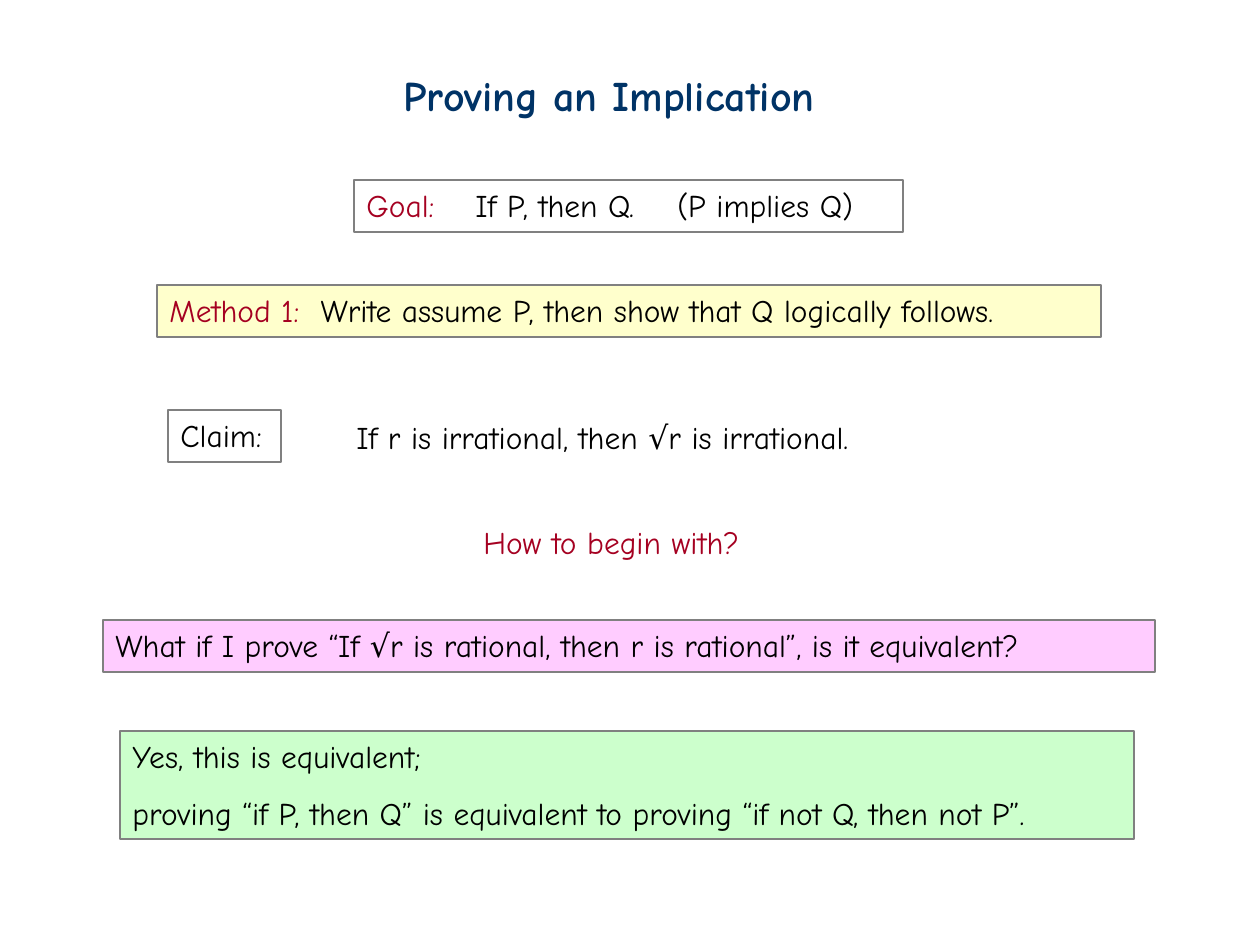
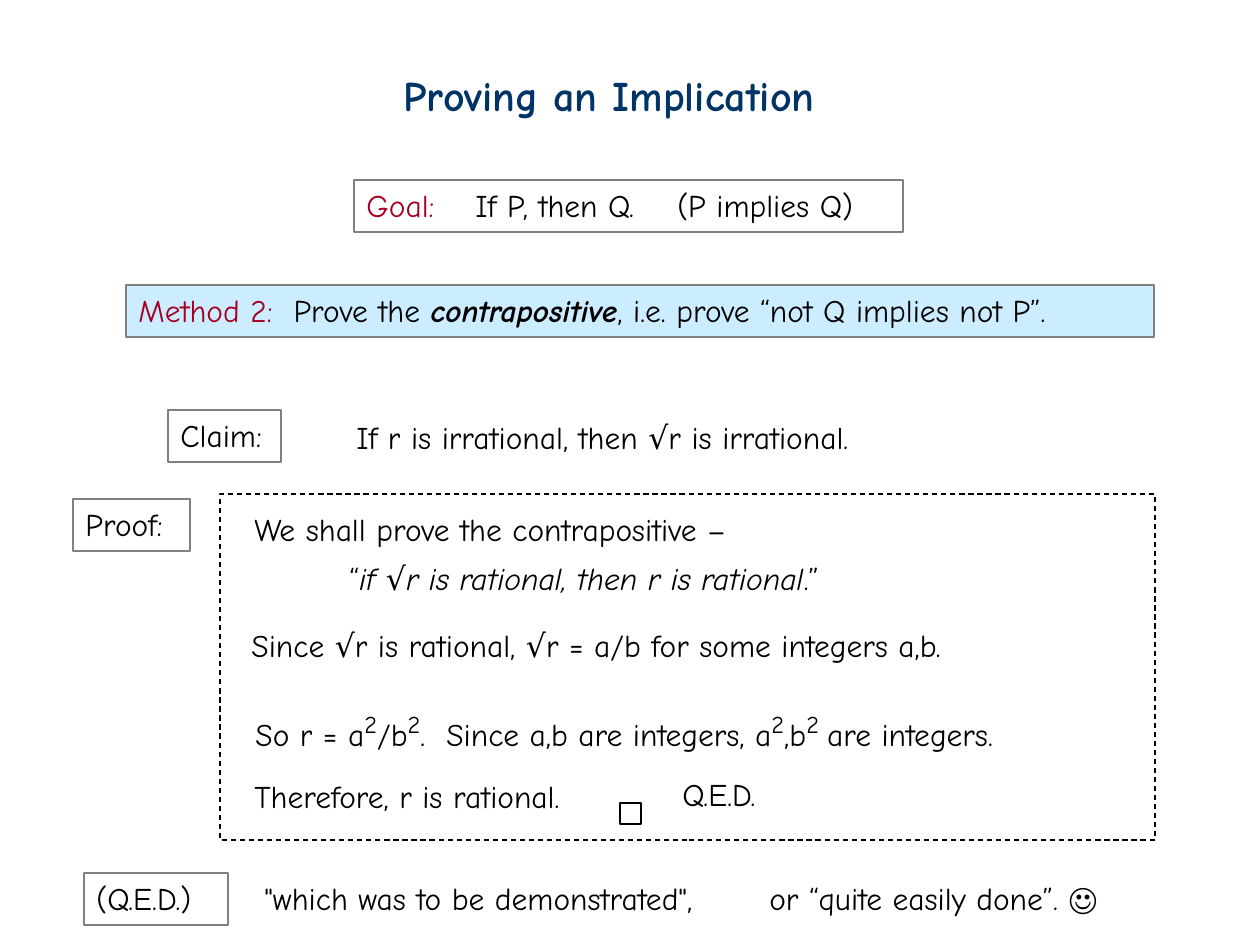
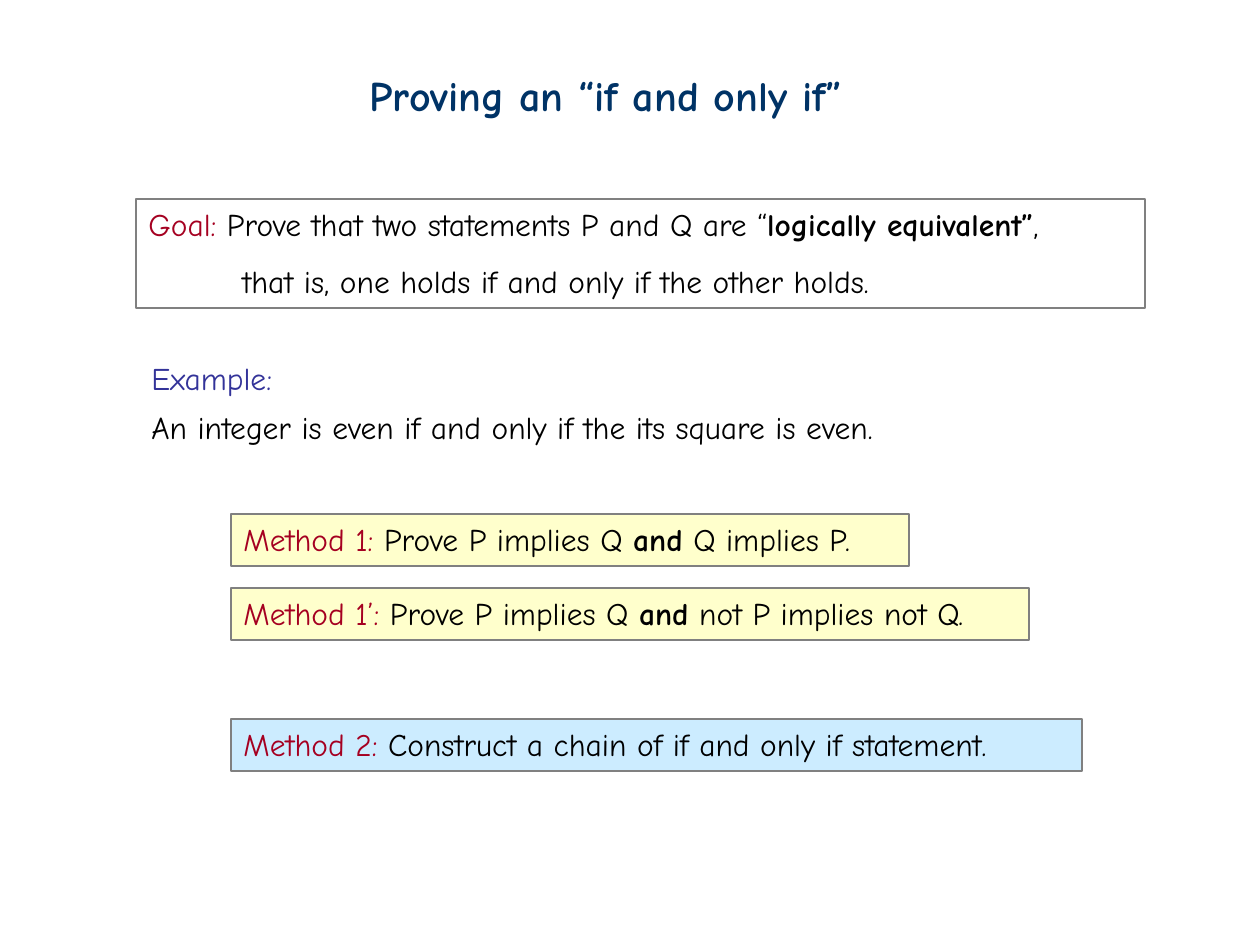
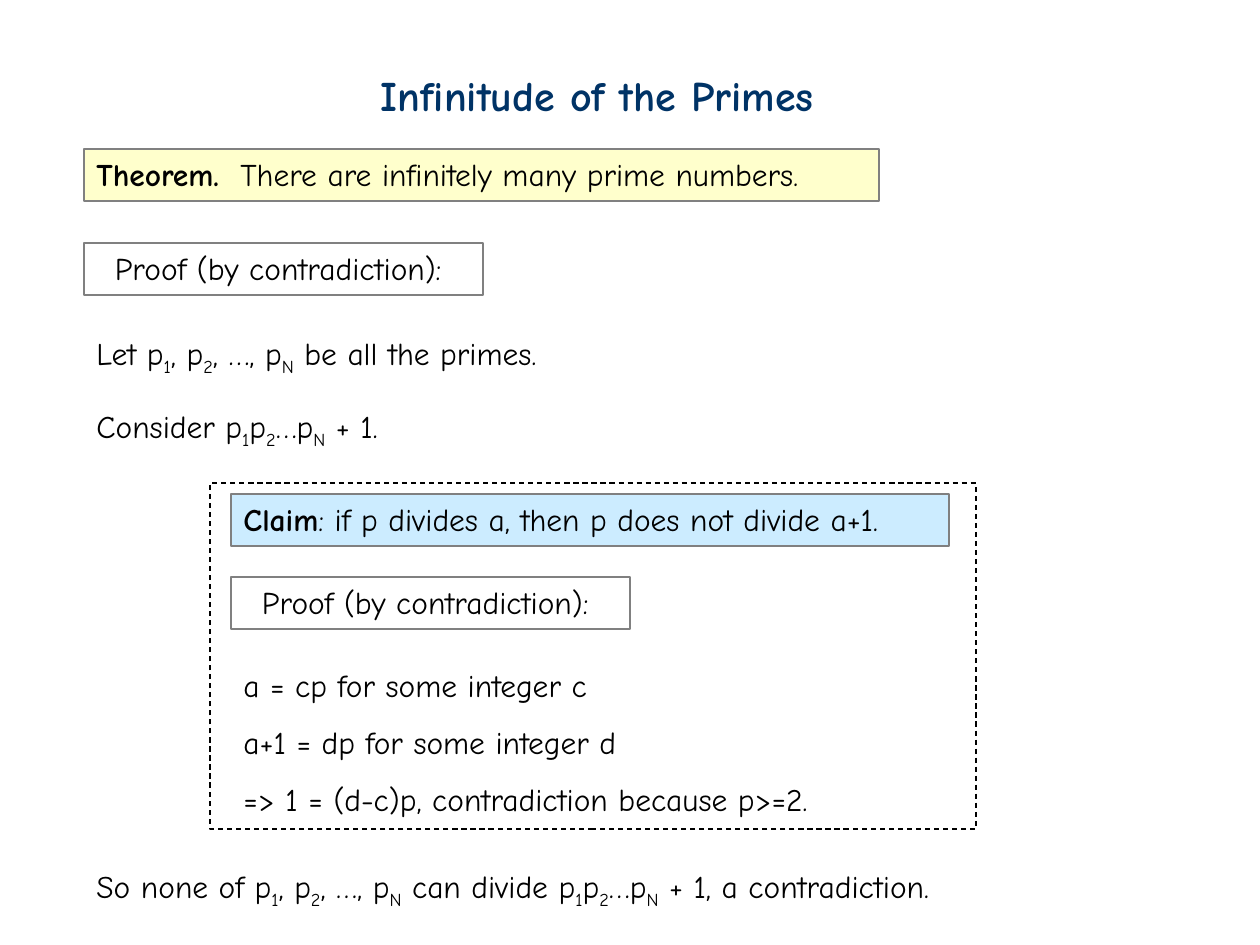
"""Build four slides on proof methods: implication, equivalence and contradiction."""
from pptx import Presentation
from pptx.dml.color import RGBColor
from pptx.enum.dml import MSO_LINE
from pptx.enum.shapes import MSO_SHAPE as SHAPE
from pptx.enum.text import MSO_ANCHOR as ANCHOR, MSO_AUTO_SIZE as AUTO, PP_ALIGN as ALIGN
from pptx.oxml.ns import qn
from pptx.util import Pt
from lxml.etree import SubElement

BLACK = RGBColor(0x00, 0x00, 0x00)
GRAY = RGBColor(0x80, 0x80, 0x80)
NAVY = RGBColor(0x00, 0x33, 0x66)
RED = RGBColor(0xA5, 0x00, 0x21)
INDIGO = RGBColor(0x33, 0x33, 0x99)
YELLOW = RGBColor(0xFF, 0xFF, 0xCC)
BLUE = RGBColor(0xCC, 0xEC, 0xFF)
PINK = RGBColor(0xFF, 0xCC, 0xFF)
GREEN = RGBColor(0xCC, 0xFF, 0xCC)

BODY = {"name": "Comic Neue", "size": Pt(18), "bold": False, "italic": False, "rgb": BLACK}
TITLE = {"size": Pt(24), "bold": True, "rgb": NAVY}
KEY = {"rgb": RED}
BOLD = {"bold": True}
ITALIC = {"italic": True}
SUB = {"baseline": "-25000"}
SUP = {"baseline": "30000", "size": Pt(24)}


def px(n):
    return round(n * 914400 / 126)


def write(sp, paras, spacing=1.0, indent=0, tabs=(), align=ALIGN.LEFT):
    tf = sp.text_frame
    frame = {"word_wrap": True, "auto_size": AUTO.NONE, "vertical_anchor": ANCHOR.TOP}
    for key, value in frame.items():
        setattr(tf, key, value)
    for i, runs in enumerate(paras):
        p = tf.add_paragraph() if i else tf.paragraphs[0]
        p.alignment = align
        pPr = p._p.get_or_add_pPr()
        if i:
            p.line_spacing = spacing
            pPr.set("marL", str(px(indent)))
        if tabs:
            tab_list = SubElement(pPr, qn("a:tabLst"))
            for pos in tabs:
                SubElement(tab_list, qn("a:tab"), pos=str(px(pos)), algn="l")
        for run in runs:
            text, extra = (run, {}) if isinstance(run, str) else run
            r = p.add_run()
            r.text = text
            for key, value in {**BODY, **extra}.items():
                if key == "rgb":
                    r.font.color.rgb = value
                elif key == "baseline":
                    r._r.get_or_add_rPr().set(key, value)
                else:
                    setattr(r.font, key, value)


prs = Presentation()
prs.slide_width, prs.slide_height = px(1260), px(945)

titles = [
    ("Proving an Implication", 391, 470),
    ("Proving an Implication", 391, 470),
    ("Proving an “if and only if”", 357, 554),
    ("Infinitude of the Primes", 368, 523),
]
for title, x, w in titles:
    s = prs.slides.add_slide(prs.slide_layouts[5])
    sp = s.shapes.title
    sp.left, sp.top, sp.width, sp.height = px(x), px(63), px(w), px(63)
    write(sp, [[(title, TITLE)]])

goal = [("Goal:", KEY), "\tIf P, then Q.\t(P implies Q)"]
list_primes = ["p", ("1", SUB), ", p", ("2", SUB), ", …, p", ("N", SUB)]
product = ["p", ("1", SUB), "p", ("2", SUB), "…p", ("N", SUB), " + 1"]
proof = [["Proof (by contradiction): "]]

claim_boxes = [
    (168, 410, 113, 52, None, [["Claim:"]], {}),
    (354, 180, 549, 52, None, [goal], {"tabs": (109, 311)}),
]
boxes = [
    claim_boxes + [
        (103, 620, 1052, 52, PINK,
         [["What if I prove “If √r is rational, then r is rational”, is it equivalent?"]], {}),
        (120, 731, 1014, 108, GREEN,
         [["Yes, this is equivalent;"],
          ["proving “if P, then Q” is equivalent to proving “if not Q, then not P”."]],
         {"spacing": 1.5}),
        (157, 285, 944, 52, YELLOW,
         [[("Method 1:", KEY), "  Write assume P, then show that Q logically follows."]], {}),
    ],
    claim_boxes + [
        (126, 285, 1028, 52, BLUE,
         [[("Method 2:", KEY), "  Prove the ", ("contrapositive", {**BOLD, **ITALIC}),
           ", i.e. prove “not Q implies not P”."]], {}),
        (73, 499, 117, 52, None, [["Proof:"]], {}),
        (84, 873, 144, 52, None, [["(Q.E.D.)"]], {}),
    ],
    [
        (136, 199, 1009, 109, None,
         [[("Goal:", KEY), " Prove that two statements P and Q are “",
           ("logically equivalent”", BOLD), ","],
          ["that is, one holds if and only if the other holds."]],
         {"spacing": 1.5, "indent": 94}),
        (231, 514, 678, 52, YELLOW,
         [[("Method 1:", KEY), " Prove P implies Q ", ("and", BOLD), " Q implies P."]], {}),
        (231, 588, 798, 52, YELLOW,
         [[("Method 1’:", KEY), " Prove P implies Q ", ("and", BOLD),
           " not P implies not Q."]], {}),
        (231, 719, 851, 52, BLUE,
         [[("Method 2:", KEY), " Construct a chain of if and only if statement."]], {}),
    ],
    [
        (84, 149, 795, 52, YELLOW,
         [[("Theorem.", BOLD), "  There are infinitely many prime numbers."]], {}),
        (231, 494, 718, 52, BLUE,
         [[("Claim", BOLD), ": if p divides a, then p does not divide a+1."]], {}),
        (84, 243, 399, 52, None, proof, {"align": ALIGN.CENTER}),
        (231, 577, 399, 52, None, proof, {"align": ALIGN.CENTER}),
    ],
]

claim_text = (344, 412, 591, 50, [["If r is irrational, then √r is irrational."]], {})
texts = [
    [
        claim_text,
        (471, 517, 305, 50, [[("How to begin with?", KEY)]], {}),
    ],
    [
        claim_text,
        (242, 504, 644, 100,
         [["We shall prove the contrapositive –"],
          ["“", ("if √r is rational, then r is rational", ITALIC), ".”"]],
         {"spacing": 1.3, "indent": 95}),
        (239, 620, 800, 50, [["Since √r is rational, √r = a/b for some integers a,b."]], {}),
        (243, 698, 849, 50,
         [["So r = a", ("2", SUP), "/b", ("2", SUP), ".  Since a,b are integers, a",
           ("2", SUP), ",b", ("2 ", SUP), "are integers."]], {}),
        (242, 771, 377, 50, [["Therefore, r is rational."]], {}),
        (252, 873, 517, 50, [['"which was to be demonstrated",']], {}),
        (757, 873, 379, 50, [["or “quite easily done”. ☺"]], {}),
        (670, 769, 118, 50, [["Q.E.D."]], {}),
    ],
    [
        (139, 353, 816, 100,
         [[("Example:", {"rgb": INDIGO})],
          ["An integer is even if and only if the its square is even."]],
         {"spacing": 1.3}),
    ],
    [
        (84, 328, 513, 50, [["Let ", *list_primes, " be all the primes."]], {}),
        (84, 401, 329, 50, [["Consider ", *product, "."]], {}),
        (231, 660, 621, 164,
         [["a = cp for some integer c"], ["a+1 = dp for some integer d"],
          ["=> 1 = (d-c)p, contradiction because p>=2."]],
         {"spacing": 1.5}),
        (84, 861, 927, 50,
         [["So none of ", *list_primes, " can divide ", *product, ", a contradiction."]], {}),
    ],
]

outlines = [
    [],
    [(620, 803, 21, 21, MSO_LINE.SOLID), (220, 494, 935, 346, MSO_LINE.DASH)],
    [],
    [(210, 483, 766, 346, MSO_LINE.DASH)],
]

for s, slide_boxes, slide_texts, slide_outlines in zip(prs.slides, boxes, texts, outlines):
    for x, y, w, h, fill, paras, fmt in slide_boxes:
        sp = s.shapes.add_shape(SHAPE.RECTANGLE, px(x), px(y), px(w), px(h))
        sp.shadow.inherit = False
        if fill:
            sp.fill.solid()
            sp.fill.fore_color.rgb = fill
        else:
            sp.fill.background()
        sp.line.color.rgb = GRAY
        sp.line.width = Pt(0.75)
        write(sp, paras, **fmt)
    for x, y, w, h, paras, fmt in slide_texts:
        write(s.shapes.add_textbox(px(x), px(y), px(w), px(h)), paras, **fmt)
    for x, y, w, h, dash in slide_outlines:
        sp = s.shapes.add_shape(SHAPE.RECTANGLE, px(x), px(y), px(w), px(h))
        sp.shadow.inherit = False
        sp.fill.background()
        sp.line.color.rgb = BLACK
        sp.line.width = Pt(0.75)
        sp.line.dash_style = dash

prs.save("out.pptx")
